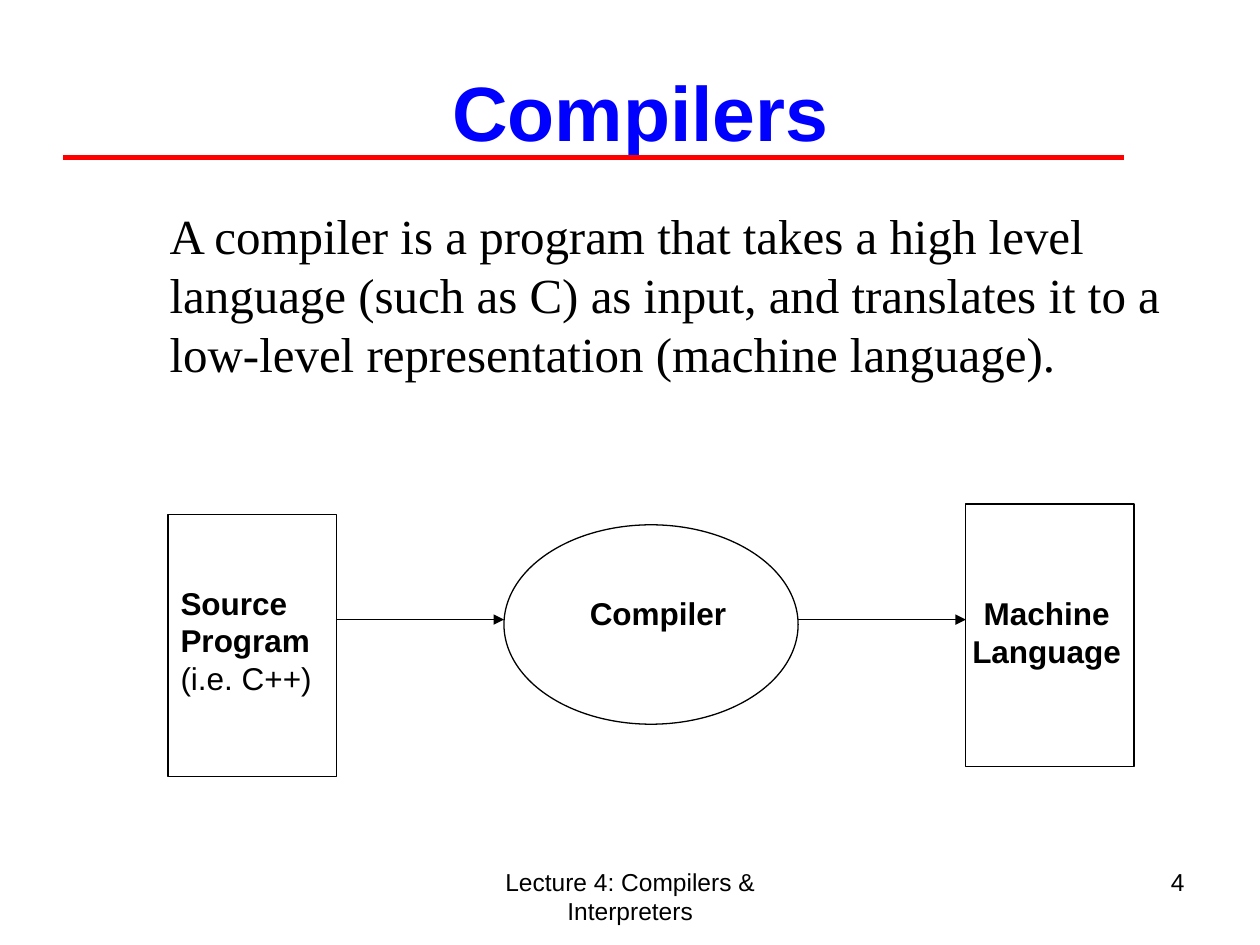
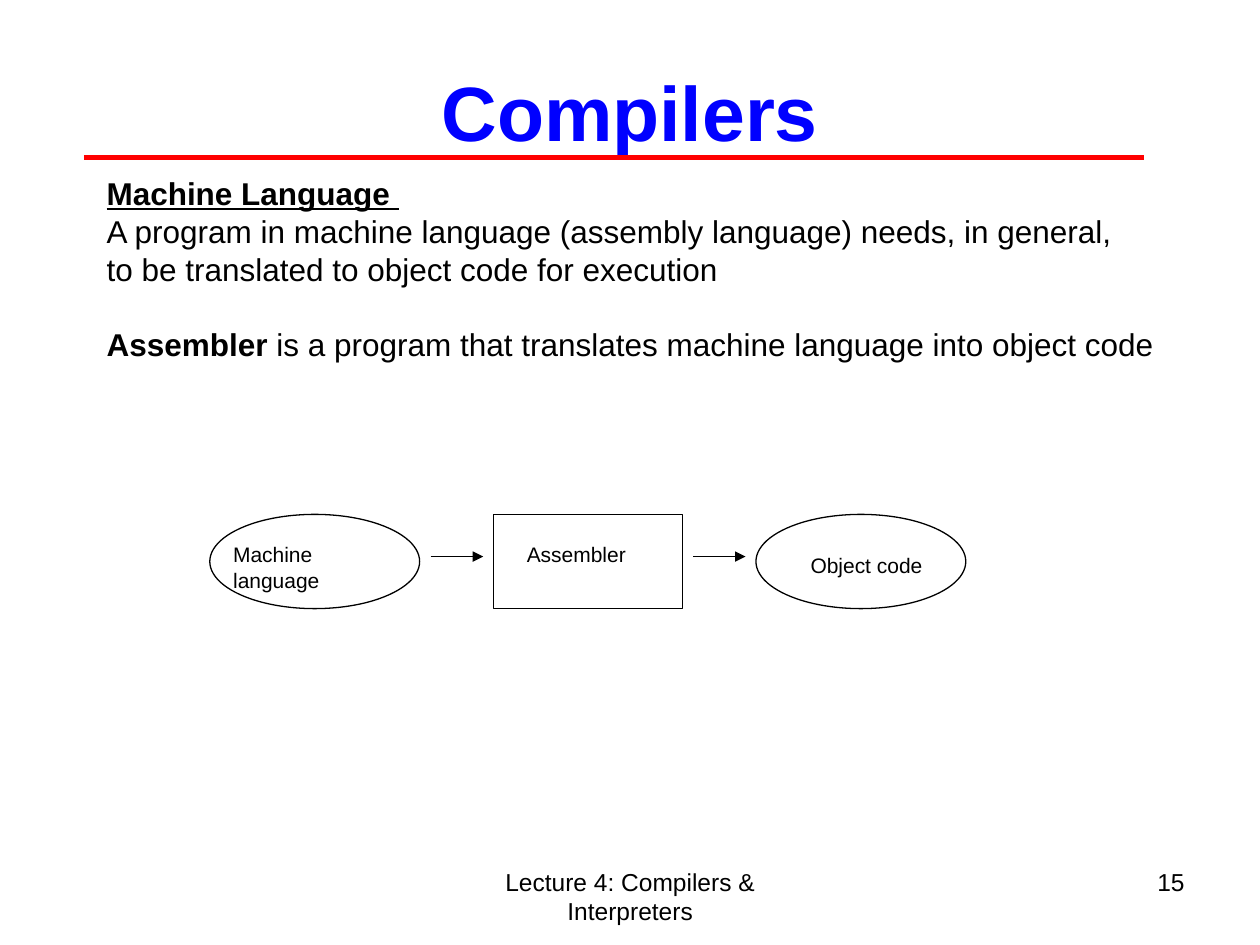
from dataclasses import dataclass, field

from lxml import etree
from pptx import Presentation
from pptx.dml.color import RGBColor
from pptx.enum.shapes import MSO_CONNECTOR, MSO_SHAPE
from pptx.enum.text import MSO_ANCHOR, PP_ALIGN
from pptx.oxml.ns import qn
from pptx.util import Cm, Pt

RECT, OVAL = MSO_SHAPE.RECTANGLE, MSO_SHAPE.OVAL
STRAIGHT = MSO_CONNECTOR.STRAIGHT
LEFT, CENTER, RIGHT = PP_ALIGN.LEFT, PP_ALIGN.CENTER, PP_ALIGN.RIGHT
TOP, MIDDLE = MSO_ANCHOR.TOP, MSO_ANCHOR.MIDDLE

COLORS = {"text": "000000", "title": "0000FF", "rule": "FF0000"}
BODY = {"name": "Arial", "size": Pt(18)}
BOLD = {**BODY, "bold": True}
HEADING = {**BOLD, "underline": True}
SMALL = {**BODY, "size": Pt(12)}
FOOTER = {**BODY, "size": Pt(14)}
TITLE = {**BOLD, "size": Pt(44)}
SERIF = {"name": "Times New Roman", "size": Pt(28)}


@dataclass
class Para:
    runs: list[tuple[str, dict]]
    fmt: dict = field(default_factory=dict)


@dataclass
class Text:
    box: tuple[float, float, float, float]
    paras: list[Para]
    align: PP_ALIGN = LEFT
    anchor: MSO_ANCHOR = TOP
    color: str = "text"
    indent: float = 0


@dataclass
class Node:
    kind: MSO_SHAPE
    box: tuple[float, float, float, float]


@dataclass
class Line:
    x1: float
    x2: float
    y: float
    color: str = "text"
    width: float = 0.75
    arrow: bool = True


def rgb(name: str) -> RGBColor:
    """Look up a named colour."""
    return RGBColor.from_string(COLORS[name])


def lengths(values: tuple) -> list:
    """Turn centimetre values into lengths."""
    return [Cm(v) for v in values]


def draw_text(slide, text: Text) -> None:
    """Draw a wrapped text box of formatted paragraphs."""
    tf = slide.shapes.add_textbox(*lengths(text.box)).text_frame
    tf.word_wrap = True
    tf.vertical_anchor = text.anchor
    for i, para in enumerate(text.paras):
        p = tf.add_paragraph() if i else tf.paragraphs[0]
        p.alignment = text.align
        if text.indent:
            p._p.get_or_add_pPr().set("marL", str(Cm(text.indent)))
        for key, value in para.fmt.items():
            setattr(p, key, value)
        for words, style in para.runs:
            r = p.add_run()
            r.text = words
            r.font.color.rgb = rgb(text.color)
            for key, value in style.items():
                setattr(r.font, key, value)


def draw_node(slide, node: Node) -> None:
    """Draw an outlined diagram node."""
    sp = slide.shapes.add_shape(node.kind, *lengths(node.box))
    sp.shadow.inherit = False
    sp.fill.background()
    sp.line.color.rgb = rgb("text")
    sp.line.width = Pt(0.75)


def draw_line(slide, line: Line) -> None:
    """Draw a horizontal line, with an arrowhead if asked."""
    ends = lengths((line.x1, line.y, line.x2, line.y))
    cx = slide.shapes.add_connector(STRAIGHT, *ends)
    cx.line.color.rgb = rgb(line.color)
    cx.line.width = Pt(line.width)
    if line.arrow:
        ln = cx.line._get_or_add_ln()
        etree.SubElement(ln, qn("a:tailEnd"), type="triangle")
    etree.SubElement(cx._element.spPr, qn("a:effectLst"))


DRAW = {Text: draw_text, Node: draw_node, Line: draw_line}


def add_slide(prs, title: str, number: int, rule_x: float, items: list) -> None:
    """Add a slide with the shared title, rule and footer."""
    slide = prs.slides.add_slide(prs.slide_layouts[6])
    frame = [
        Text((8.68, 17.35, 8.05, 1.32),
             [Para([("Lecture 4: Compilers & Interpreters", FOOTER)])], CENTER),
        Text((18.21, 17.35, 5.92, 1.32), [Para([(str(number), FOOTER)])], RIGHT),
        Text((1.27, 0.64, 22.86, 3.18), [Para([(title, TITLE)])],
             CENTER, MIDDLE, "title"),
        Line(rule_x, rule_x + 21.38, 3.18, "rule", 3, False),
    ]
    for item in frame + items:
        DRAW[type(item)](slide, item)


COMPILER = [
    Text((1.9, 4.02, 21.8, 5.38), [Para([(
        "A compiler is a program that takes a high level language (such as C) "
        "as input, and translates it to a low-level representation "
        "(machine language).", SERIF)])], indent=1.27),
    Node(RECT, (3.39, 10.37, 3.39, 5.29)),
    Node(RECT, (19.47, 10.16, 3.39, 5.29)),
    Node(OVAL, (10.16, 10.58, 5.93, 4.02)),
    Text((11.64, 11.85, 3.6, 1.02), [Para([("Compiler", BOLD)])]),
    Text((3.39, 11.64, 3.6, 2.54), [
        Para([("Source", BOLD)]),
        Para([("Program", BOLD)]),
        Para([("(i.e. C++)", BODY)])]),
    Line(6.77, 10.16, 12.49),
    Line(16.09, 19.47, 12.49),
    Text((19.1, 11.85, 4, 1.8),
         [Para([(word, BOLD)]) for word in ("Machine", "Language")], CENTER),
]

ASSEMBLER = [
    Text((1.9, 3.39, 22.4, 4.11), [
        Para([("Machine Language ", HEADING)]),
        Para([("A program in machine language (assembly language) needs, "
               "in general, ", BODY)]),
        Para([("to be translated to object code for execution", BODY)]),
        Para([("Assembler ", BOLD),
              ("is a program that translates machine language into object code",
               BODY)], {"space_before": Pt(21.5)})]),
    Node(OVAL, (4.23, 10.37, 4.23, 1.9)),
    Text((4.45, 10.8, 3.5, 1.2), [Para([("Machine language", SMALL)])]),
    Node(RECT, (9.95, 10.37, 3.81, 1.9)),
    Text((10.37, 10.8, 2.8, 0.76), [Para([("Assembler", SMALL)])]),
    Line(8.68, 9.74, 11.22),
    Line(13.97, 15.03, 11.22),
    Node(OVAL, (15.24, 10.37, 4.23, 1.9)),
    Text((16.09, 11.01, 3, 0.76), [Para([("Object code", SMALL)])]),
]

prs = Presentation()
prs.slide_width, prs.slide_height = Cm(25.4), Cm(19.05)
add_slide(prs, " Compilers", 4, 1.27, COMPILER)
add_slide(prs, "Compilers", 15, 1.69, ASSEMBLER)
prs.save("out.pptx")
